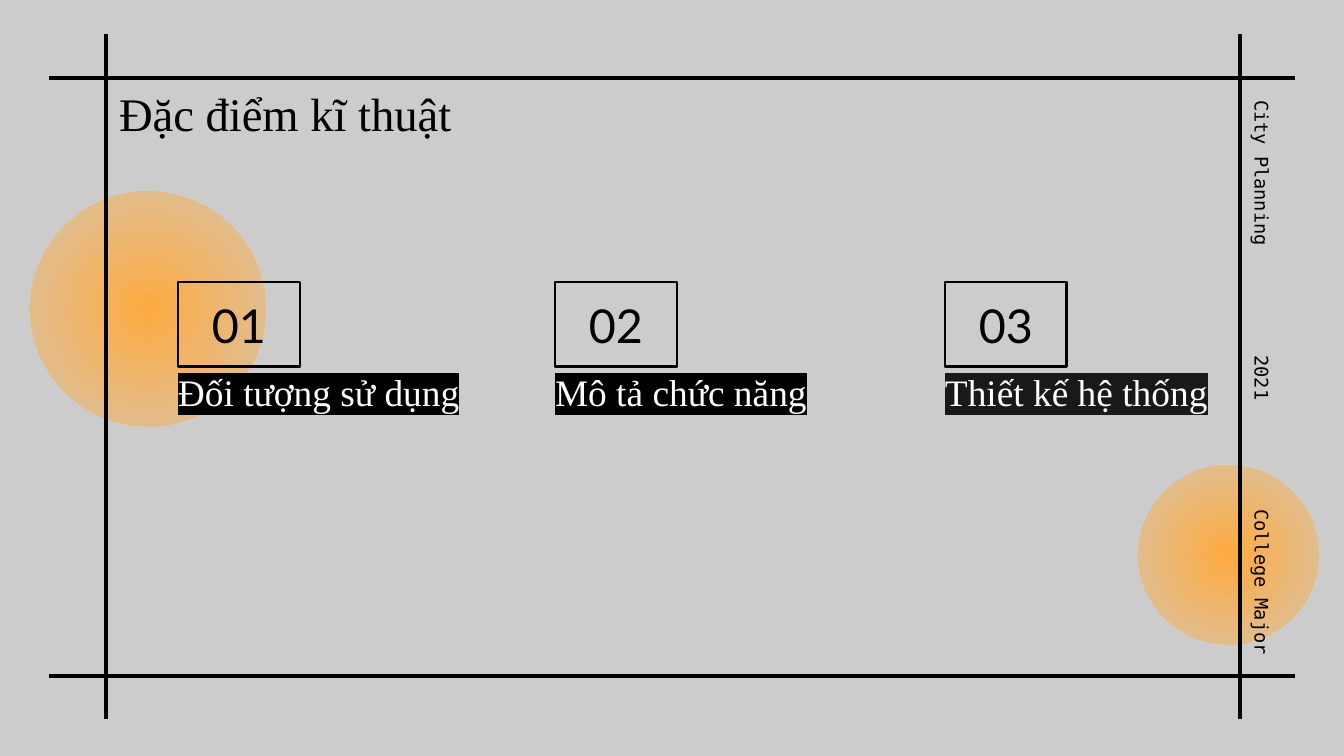
from dataclasses import dataclass

from lxml.etree import SubElement
from pptx import Presentation
from pptx.dml.color import RGBColor
from pptx.enum.shapes import MSO_CONNECTOR, MSO_SHAPE
from pptx.enum.text import MSO_ANCHOR, PP_ALIGN
from pptx.oxml import parse_xml
from pptx.oxml.ns import nsdecls, qn
from pptx.util import Emu, Pt

PIXEL = 914400 / 134.4
INSET = 13


@dataclass(frozen=True)
class Theme:
    """Colours, fonts and type sizes of the slide."""
    background: str = "CCCCCC"
    ink: str = "000000"
    soft_ink: str = "191919"
    paper: str = "FFFFFF"
    glow: str = "FFAB40"
    serif: str = "Times New Roman"
    sans: str = "Lato"
    mono: str = "DejaVu Sans Mono"
    heading_size: int = 25
    caption_size: int = 20
    label_size: int = 10


def px(value):
    """Turn pixels into EMU."""
    return Emu(round(value * PIXEL))


def assign(target, values):
    """Set each attribute of the target from a dict."""
    for name, value in values.items():
        setattr(target, name, value)


class SlideBuilder:
    """Draws styled elements on the current slide."""

    def __init__(self, slide, theme):
        """Keep the slide and theme, and paint the background."""
        self.slide = slide
        self.theme = theme
        fill = slide.background.fill
        fill.solid()
        fill.fore_color.rgb = RGBColor.from_string(theme.background)

    def glow(self, left, top, diameter):
        """Add a circle with a radial fade."""
        shape = self.slide.shapes.add_shape(
            MSO_SHAPE.OVAL, px(left), px(top), px(diameter), px(diameter))
        shape.shadow.inherit = False
        shape.line.fill.background()
        color = self.theme.glow
        gradient = parse_xml(
            f'<a:gradFill {nsdecls("a")} rotWithShape="1"><a:gsLst>'
            f'<a:gs pos="0"><a:srgbClr val="{color}"/></a:gs>'
            f'<a:gs pos="100000"><a:srgbClr val="{color}"><a:alpha val="22000"/></a:srgbClr></a:gs>'
            '</a:gsLst><a:path path="circle">'
            '<a:fillToRect l="50000" t="50000" r="50000" b="50000"/></a:path></a:gradFill>')
        shape._element.spPr.find(qn("a:prstGeom")).addnext(gradient)

    def rule(self, start, end):
        """Add a straight frame line."""
        line = self.slide.shapes.add_connector(
            MSO_CONNECTOR.STRAIGHT, *map(px, start + end))
        line.line.width = Pt(2.25)
        line.line.color.rgb = RGBColor.from_string(self.theme.ink)
        SubElement(line._element.spPr, qn("a:effectLst"))

    def set_text(self, shape, text, font, size, color=None, highlight=None,
                 anchor=MSO_ANCHOR.MIDDLE, align=PP_ALIGN.LEFT):
        """Put one styled paragraph into a shape."""
        frame = shape.text_frame
        assign(frame, {"word_wrap": True, "vertical_anchor": anchor,
                       "margin_left": px(INSET), "margin_right": px(INSET),
                       "margin_top": px(INSET), "margin_bottom": px(INSET)})
        paragraph = frame.paragraphs[0]
        paragraph.alignment = align
        run = paragraph.add_run()
        run.text = text
        assign(run.font, {"name": font, "size": Pt(size)})
        run.font.color.rgb = RGBColor.from_string(color or self.theme.ink)
        if highlight:
            properties = run._r.get_or_add_rPr()
            properties.find(qn("a:solidFill")).addnext(parse_xml(
                f'<a:highlight {nsdecls("a")}><a:srgbClr val="{highlight}"/></a:highlight>'))

    def text(self, box, text, font, size, rotation=0, **style):
        """Add a text box."""
        shape = self.slide.shapes.add_textbox(*map(px, box))
        shape.rotation = rotation
        self.set_text(shape, text, font, size, **style)

    def number(self, left, top, text):
        """Add an outlined number box."""
        shape = self.slide.shapes.add_shape(
            MSO_SHAPE.RECTANGLE, px(left), px(top), px(122), px(85))
        shape.shadow.inherit = False
        shape.fill.background()
        shape.line.width = Pt(1.5)
        shape.line.color.rgb = RGBColor.from_string(self.theme.ink)
        self.set_text(shape, text, self.theme.sans, self.theme.heading_size,
                      align=PP_ALIGN.CENTER)

    def caption(self, left, bottom, width, height, text, highlight):
        """Add a highlighted caption that stands on its bottom edge."""
        self.text((left, bottom - height, width, height), text,
                  self.theme.serif, self.theme.caption_size,
                  color=self.theme.paper, highlight=highlight,
                  anchor=MSO_ANCHOR.BOTTOM)

    def side_label(self, middle, width, text):
        """Add a label turned to read down the right margin."""
        center, height = 1259, 51
        box = (center - width / 2, middle - height / 2, width, height)
        self.text(box, text, self.theme.mono, self.theme.label_size,
                  rotation=90, anchor=MSO_ANCHOR.TOP, align=PP_ALIGN.CENTER)


def main():
    """Build and save the slide."""
    presentation = Presentation()
    assign(presentation, {"slide_width": px(1344), "slide_height": px(756)})
    theme = Theme()
    builder = SlideBuilder(
        presentation.slides.add_slide(presentation.slide_layouts[6]), theme)

    builder.glow(1138, 465, 180)
    builder.glow(30, 191, 236)
    for x in (106, 1240):
        builder.rule((x, 34), (x, 719))
    for y in (78, 676):
        builder.rule((49, y), (1295, y))

    builder.text((106, 80, 891, 66), "Đặc điểm kĩ thuật",
                 theme.serif, theme.heading_size)
    topics = (
        (178, 323, 59, "Đối tượng sử dụng", theme.ink),
        (555, 290, 69, "Mô tả chức năng", theme.ink),
        (945, 323, 63, "Thiết kế hệ thống", theme.soft_ink),
    )
    for index, (left, width, height, topic, highlight) in enumerate(topics, 1):
        builder.number(left, 282, f"{index:02}")
        builder.caption(left - INSET, 427, width, height, topic, highlight)

    for middle, width, label in ((173, 188, "City Planning"),
                                 (582, 188, "College Major"),
                                 (378, 87, "2021")):
        builder.side_label(middle, width, label)

    presentation.save("out.pptx")


if __name__ == "__main__":
    main()
